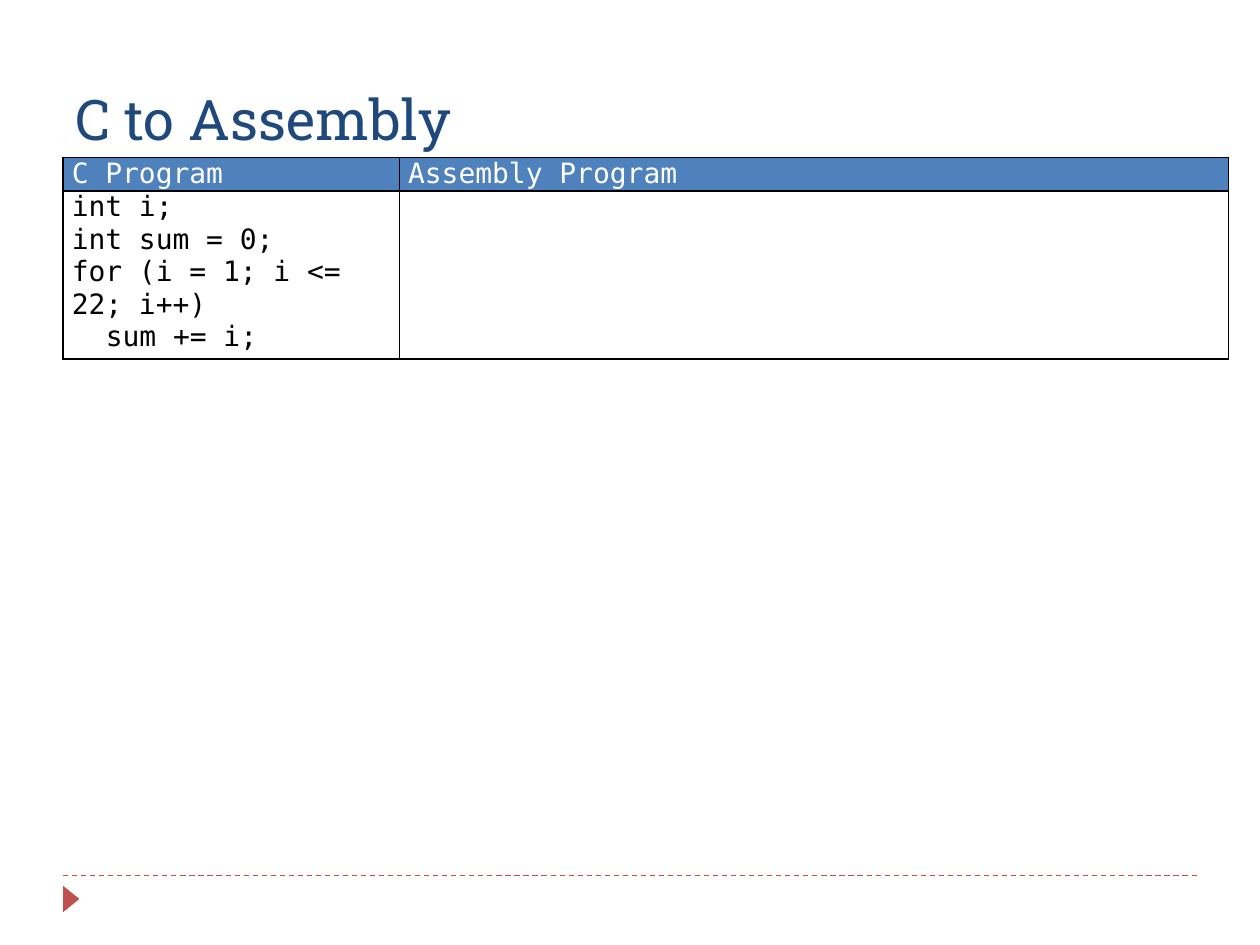
from lxml import etree
from pptx import Presentation
from pptx.dml.color import RGBColor
from pptx.enum.dml import MSO_LINE
from pptx.enum.shapes import MSO_CONNECTOR, MSO_SHAPE
from pptx.enum.text import MSO_ANCHOR, PP_ALIGN
from pptx.oxml.ns import qn
from pptx.util import Inches, Pt

RED = RGBColor(0xC0, 0x50, 0x4D)
NAVY = RGBColor(0x1F, 0x49, 0x7D)
BLUE = RGBColor(0x4F, 0x81, 0xBD)
WHITE = RGBColor(0xFF, 0xFF, 0xFF)
BLACK = RGBColor(0, 0, 0)
CODE_FONT = "DejaVu Sans Mono"


def add_borders(cell):
    """Draw a 1 pt black line on all four sides; call before setting the fill."""
    tc_pr = cell._tc.get_or_add_tcPr()
    for side in ("a:lnL", "a:lnR", "a:lnT", "a:lnB"):
        ln = etree.SubElement(tc_pr, qn(side), w=str(Pt(1)))
        fill = etree.SubElement(ln, qn("a:solidFill"))
        etree.SubElement(fill, qn("a:srgbClr"), val=str(BLACK))


prs = Presentation()
prs.slide_width, prs.slide_height = Inches(10), Inches(7.5)
s = prs.slides.add_slide(prs.slide_layouts[6])

# Dashed rules and the footer arrow
for y in (6.95, 1.25):
    rule = s.shapes.add_connector(
        MSO_CONNECTOR.STRAIGHT, Inches(0.5), Inches(y), Inches(9.5), Inches(y))
    rule.line.color.rgb = RED
    rule.line.width = Pt(0.75)
    rule.line.dash_style = MSO_LINE.DASH
    etree.SubElement(rule._element.spPr, qn("a:effectLst"))

arrow = s.shapes.add_shape(
    MSO_SHAPE.ISOSCELES_TRIANGLE, Inches(0.46), Inches(7.07), Inches(0.21), Inches(0.13))
arrow.rotation = 90
arrow.shadow.inherit = False
arrow.fill.solid()
arrow.fill.fore_color.rgb = RED
arrow.line.fill.background()

# Title
title = s.shapes.add_textbox(Inches(0.5), Inches(0.17), Inches(9), Inches(1.08))
tf = title.text_frame
tf.word_wrap = True
tf.vertical_anchor = MSO_ANCHOR.BOTTOM
p = tf.paragraphs[0]
p.text = "C to Assembly"
p.font.name, p.font.size = "Roboto Slab", Pt(32)
p.font.color.rgb = NAVY

# Program table
rows = [
    ["C Program", "Assembly Program"],
    ["int i;\nint sum = 0;\nfor (i = 1; i <= 22; i++)\nsum += i;", ""],
]
table = s.shapes.add_table(
    2, 2, Inches(0.5), Inches(1.25), Inches(9.25), Inches(1.54)).table
table.first_row = table.horz_banding = False
for column, width in zip(table.columns, (2.67, 6.58)):
    column.width = Inches(width)
for row, height in zip(table.rows, (0.26, 1.28)):
    row.height = Inches(height)

for i, texts in enumerate(rows):
    for j, text in enumerate(texts):
        cell = table.cell(i, j)
        cell.margin_left = cell.margin_right = Inches(0.07)
        cell.margin_top = cell.margin_bottom = 0
        add_borders(cell)
        if i == 0:
            cell.fill.solid()
            cell.fill.fore_color.rgb = BLUE
        else:
            cell.fill.background()
        cell.text = text
        for p in cell.text_frame.paragraphs:
            p.font.name, p.font.size = CODE_FONT, Pt(16)
            p.font.color.rgb = WHITE if i == 0 else BLACK
            if i == 0:
                p.alignment = PP_ALIGN.JUSTIFY

# Indent the loop body by two characters
loop_body = table.cell(1, 0).text_frame.paragraphs[-1]
loop_body._p.get_or_add_pPr().set("marL", str(Inches(0.27)))

prs.save("out.pptx")
